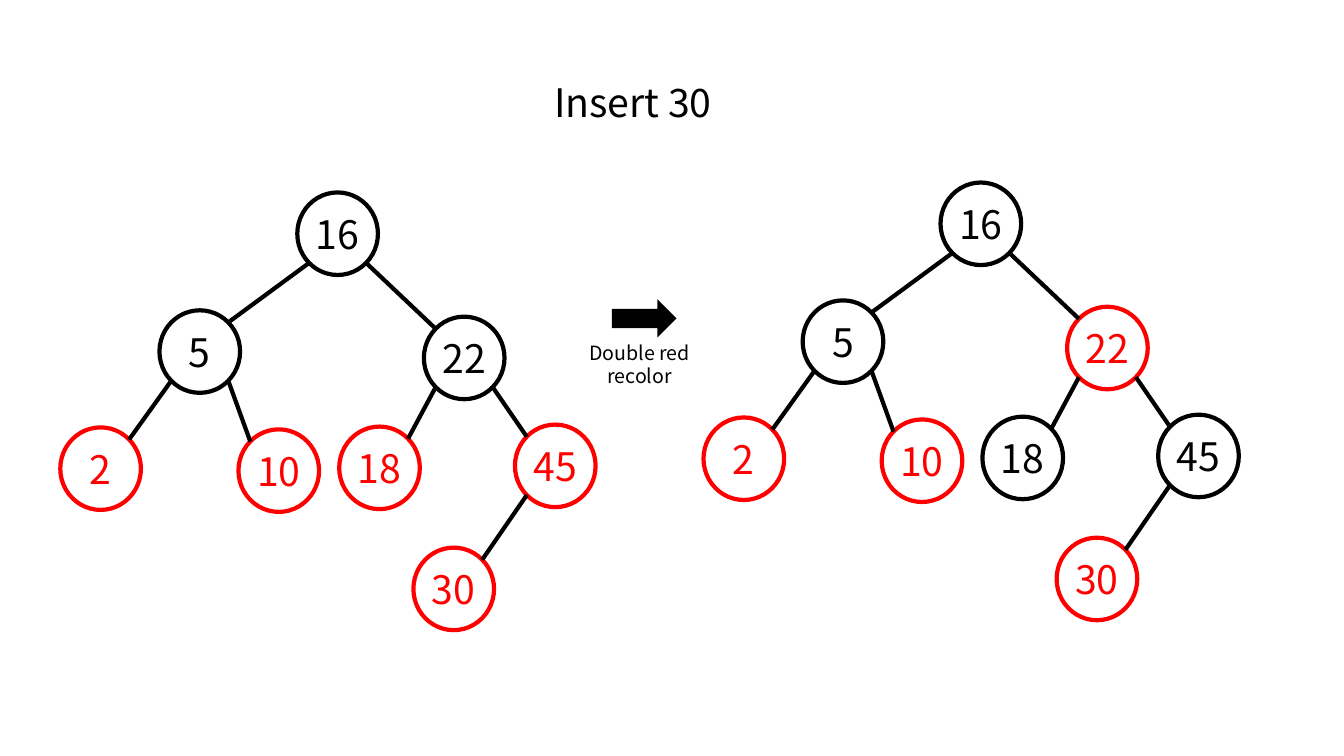
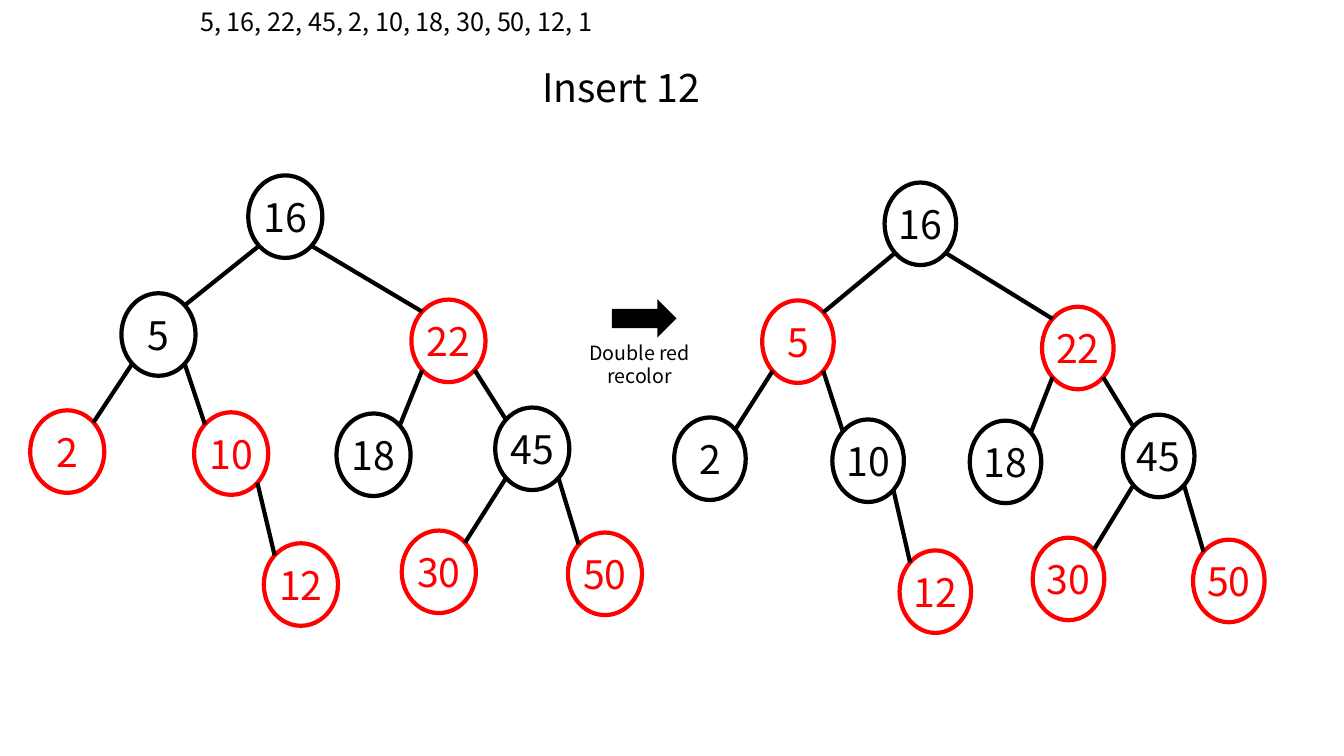
from math import sqrt

from lxml import etree
from pptx import Presentation
from pptx.dml.color import RGBColor as RGB
from pptx.enum.shapes import MSO_CONNECTOR as CXN, MSO_SHAPE as SHAPE
from pptx.enum.text import MSO_ANCHOR as ANCHOR, PP_ALIGN as ALIGN
from pptx.oxml.ns import qn
from pptx.util import Cm, Pt

COLORS = {"black": "000000", "red": "FF0000"}
FONT = "Noto Sans CJK KR"
NODE_H = 2.08
ROOT, ROOT_X = 16, 2.94
DIAGONAL = 1 / sqrt(8)

# child: (parent, right by node widths, down by cm)
EIGHT_KEYS = {
    5: (16, -1.71, 2.97), 22: (16, 1.57, 3.13),
    2: (5, -1.23, 2.95), 10: (5, 0.98, 3),
    18: (22, -1.05, 2.77), 45: (22, 1.13, 2.72),
    30: (45, -1.26, 3.1),
}
TEN_KEYS = EIGHT_KEYS | {
    22: (16, 2.2, 3.13), 18: (22, -1.01, 2.87),
    50: (45, 0.98, 3.15), 12: (10, 0.94, 3.3),
}


def color(name):
    """Return the named colour."""
    return RGB.from_string(COLORS[name])


def write(tf, lines, size, ink="black", align=ALIGN.CENTER):
    """Fill a text frame with one paragraph for each line."""
    for i, line in enumerate(lines):
        p = tf.paragraphs[0] if i == 0 else tf.add_paragraph()
        p.text = line
        p.alignment = align
        p.font.name, p.font.size = FONT, Pt(size)
        p.font.color.rgb = color(ink)


def add_text(s, box, lines, size, align=ALIGN.CENTER):
    """Add a wrapping text box."""
    tf = s.shapes.add_textbox(*map(Cm, box)).text_frame
    tf.word_wrap = True
    write(tf, lines, size, align=align)


def add_title(s, x, y, text):
    """Add the slide title."""
    add_text(s, (x, y, 7.06, 1.45), [text], 28)


def add_node(shapes, box, key, ink):
    """Add a tree node with its key."""
    sp = shapes.add_shape(SHAPE.OVAL, *map(Cm, box))
    sp.shadow.inherit = False
    sp.fill.background()
    sp.line.color.rgb, sp.line.width = color(ink), Pt(3)
    tf = sp.text_frame
    tf.word_wrap = False
    tf.vertical_anchor = ANCHOR.MIDDLE
    tf.margin_left = tf.margin_right = tf.margin_top = tf.margin_bottom = 0
    write(tf, [str(key)], 28, ink)


def add_edge(shapes, start, end):
    """Add a line from a parent to a child."""
    line = shapes.add_connector(CXN.STRAIGHT, *map(Cm, start + end))
    line.line.color.rgb, line.line.width = color("black"), Pt(3)
    etree.SubElement(line._element.spPr, qn("a:effectLst"))


def add_tree(s, box, children, red):
    """Draw a red-black tree from the top left of a box, as wide as the box."""
    left, top, width = box
    spots = {ROOT: (ROOT_X, 0)}
    for key, (parent, dx, dy) in children.items():
        x, y = spots[parent]
        spots[key] = (x + dx, y + dy)
    node_w = width / (max(x for x, y in spots.values()) + 1)
    centers = {key: (left + (x + 0.5) * node_w, top + y + NODE_H / 2)
               for key, (x, y) in spots.items()}
    shapes = s.shapes.add_group_shape().shapes
    for key, (x, y) in centers.items():
        ink = "red" if key in red else "black"
        add_node(shapes, (x - node_w / 2, y - NODE_H / 2, node_w, NODE_H), key, ink)
    rise = NODE_H * DIAGONAL
    for key, (parent, dx, dy) in children.items():
        (px, py), (cx, cy) = centers[parent], centers[key]
        run = node_w * DIAGONAL * (1 if dx > 0 else -1)
        add_edge(shapes, (px + run, py + rise), (cx - run, cy - rise))


def add_step(s, box, lines):
    """Add the arrow between the trees and its caption."""
    x, y, w = box
    sp = s.shapes.add_shape(SHAPE.RIGHT_ARROW, Cm(x + 2.16), Cm(y), Cm(1.63), Cm(0.97))
    sp.shadow.inherit = False
    sp.fill.solid()
    sp.fill.fore_color.rgb = color("black")
    sp.line.fill.background()
    add_text(s, (x, y + 0.92, w, 1.45), lines, 14)


def add_insertion(prs, title, children, before, after):
    """Add a slide with a tree before and after recoloring."""
    s = prs.slides.add_slide(prs.slide_layouts[6])
    add_title(s, *title)
    add_tree(s, before[0], children, before[1])
    add_step(s, (13.26, 7.54, 5.72), ["Double red", "recolor"])
    add_tree(s, after[0], children, after[1])
    return s


def main():
    """Build and save the presentation."""
    prs = Presentation()
    prs.slide_width, prs.slide_height = Cm(33.87), Cm(19.05)
    add_insertion(prs, (12.42, 1.85, "Insert 30"), EIGHT_KEYS,
                  ((1.52, 4.85, 13.49), {2, 10, 18, 45, 30}),
                  ((17.73, 4.6, 13.49), {2, 10, 22, 30}))
    s = add_insertion(prs, (12.12, 1.47, "Insert 12"), TEN_KEYS,
                      ((0.76, 4.42, 15.42), {2, 10, 12, 22, 30, 50}),
                      ((16.99, 4.6, 14.88), {5, 12, 22, 30, 50}))
    add_text(s, (4.8, 0.03, 19.91, 1.02), ["5, 16, 22, 45, 2, 10, 18, 30, 50, 12, 1"],
             18, ALIGN.LEFT)
    prs.save("out.pptx")


main()
